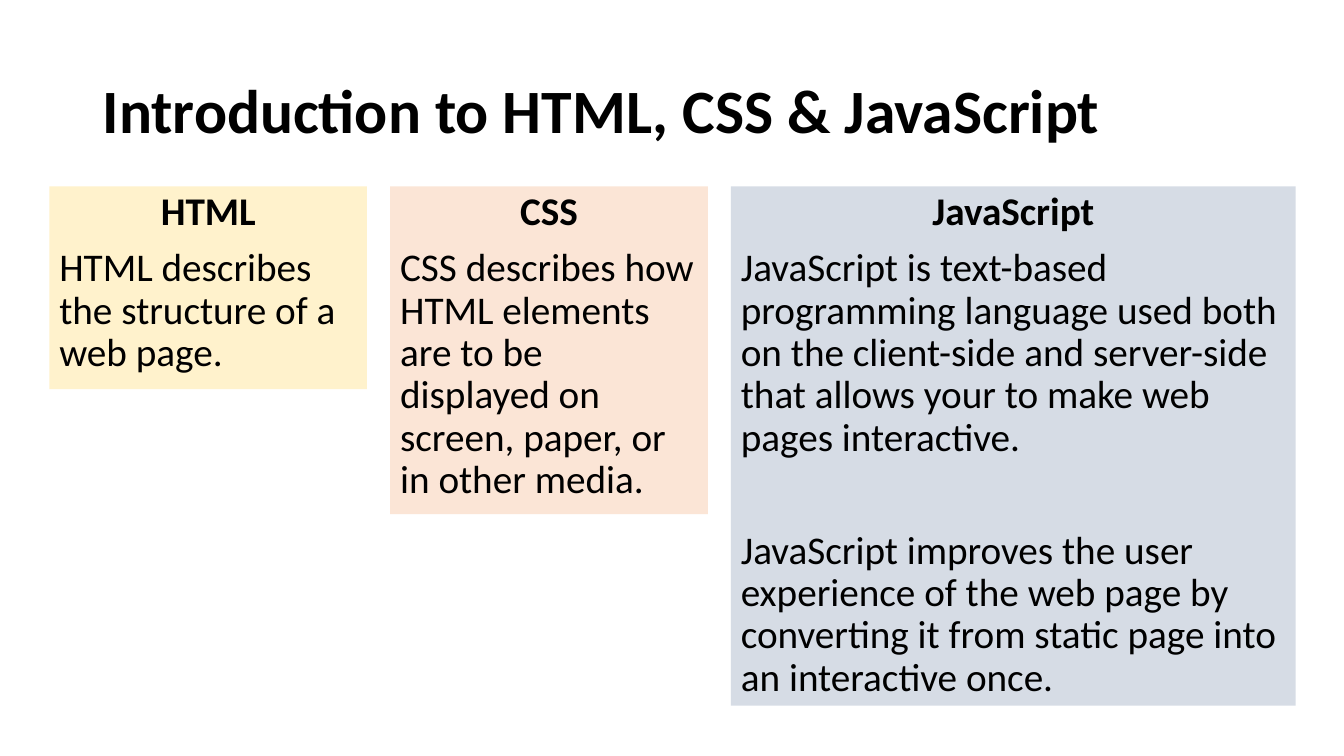
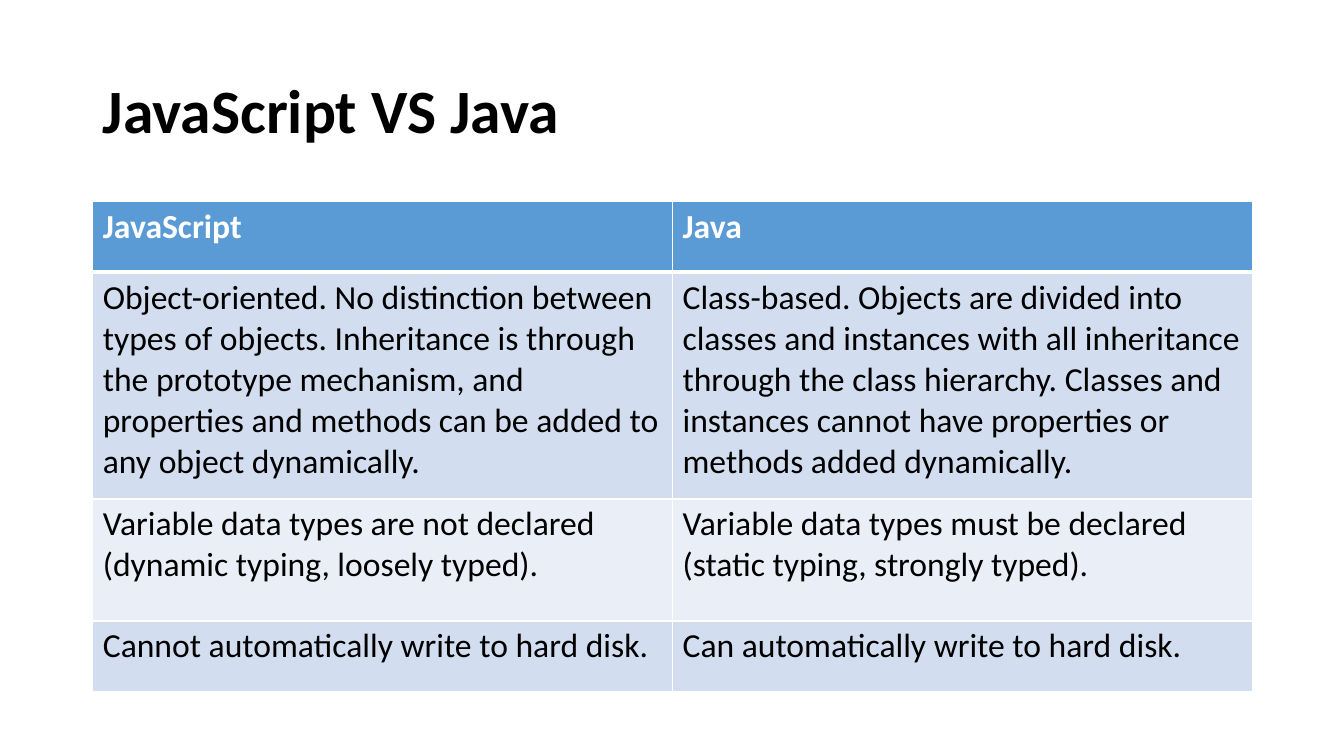
from lxml.etree import SubElement
from pptx import Presentation
from pptx.dml.color import RGBColor
from pptx.enum.shapes import MSO_SHAPE as Shape
from pptx.enum.text import MSO_ANCHOR as Anchor, PP_ALIGN as Align
from pptx.oxml.ns import qn
from pptx.util import Pt

PX = 9144  # EMU per px, 100 px to the inch

BLACK = RGBColor(0x00, 0x00, 0x00)
WHITE = RGBColor(0xFF, 0xFF, 0xFF)
CREAM = RGBColor(0xFF, 0xF2, 0xCC)
PEACH = RGBColor(0xFB, 0xE5, 0xD6)
SLATE = RGBColor(0xD6, 0xDC, 0xE5)
HEADER_BLUE = RGBColor(0x5B, 0x9B, 0xD5)
BANDS = (RGBColor(0xD2, 0xDE, 0xEF), RGBColor(0xEA, 0xEF, 0xF7))


class Deck:
    """Holds the shared style and the slide being filled."""
    font = "Calibri"
    title_size, panel_size, table_size = 44, 28, 24
    line_spacing = 0.9
    space_before, block_gap = 10, 50.5

    def __init__(self, width, height):
        self.prs = Presentation()
        self.prs.slide_width, self.prs.slide_height = width * PX, height * PX
        self.slide = None

    def new_slide(self, title):
        self.slide = self.prs.slides.add_slide(self.prs.slide_layouts[6])
        box = self.slide.shapes.add_textbox(92 * PX, 40 * PX, 1150 * PX, 145 * PX)
        frame = box.text_frame
        frame.word_wrap = True
        frame.vertical_anchor = Anchor.MIDDLE
        heading = frame.paragraphs[0]
        heading.line_spacing = self.line_spacing
        self.run(heading, title, self.title_size, bold=True)

    def run(self, paragraph, text, size, color=BLACK, bold=False):
        run = paragraph.add_run()
        run.text = text
        run.font.name = self.font
        run.font.size = Pt(size)
        run.font.bold = bold
        run.font.color.rgb = color

    def panel(self, left, top, width, height, fill, heading, blocks):
        """A filled box with a centred heading over blocks of text."""
        panel = self.slide.shapes.add_shape(
            Shape.RECTANGLE, left * PX, top * PX, width * PX, height * PX)
        panel.shadow.inherit = False
        panel.fill.solid()
        panel.fill.fore_color.rgb = fill
        panel.line.fill.background()
        frame = panel.text_frame
        frame.word_wrap = True
        frame.vertical_anchor = Anchor.TOP
        for i, text in enumerate([heading, *blocks]):
            paragraph = frame.add_paragraph() if i else frame.paragraphs[0]
            paragraph.alignment = Align.LEFT if i else Align.CENTER
            paragraph.line_spacing = self.line_spacing
            paragraph.space_before = Pt(self.block_gap if i > 1 else self.space_before)
            self.run(paragraph, text, self.panel_size, bold=i == 0)

    def table(self, left, top, column_width, row_heights, rows):
        """A table with a coloured header row and banded rows below."""
        columns = len(rows[0])
        table = self.slide.shapes.add_table(
            len(rows), columns, left * PX, top * PX,
            columns * column_width * PX, sum(row_heights) * PX).table
        for column in table.columns:
            column.width = column_width * PX
        for r, (height, texts) in enumerate(zip(row_heights, rows)):
            table.rows[r].height = height * PX
            for c, text in enumerate(texts):
                cell = table.cell(r, c)
                # Borders go in before the fill, as the schema orders them
                self.borders(cell, top=3 if r == 1 else 1, bottom=3 if r == 0 else 1)
                cell.fill.solid()
                cell.fill.fore_color.rgb = BANDS[(r - 1) % 2] if r else HEADER_BLUE
                self.run(cell.text_frame.paragraphs[0], text, self.table_size,
                         BLACK if r else WHITE, bold=r == 0)

    def borders(self, cell, top, bottom):
        properties = cell._tc.get_or_add_tcPr()
        for side, weight in (("L", 1), ("R", 1), ("T", top), ("B", bottom)):
            line = SubElement(properties, qn(f"a:ln{side}"), w=str(Pt(weight)))
            fill = SubElement(line, qn("a:solidFill"))
            SubElement(fill, qn("a:srgbClr"), val=str(WHITE))


# Width, height, fill, heading, text blocks
LANGUAGES = [
    (315, 201, CREAM, "HTML", ["HTML describes the structure of a web page."]),
    (315, 325, PEACH, "CSS", [
        "CSS describes how HTML elements are to be displayed on screen, paper, "
        "or in other media."]),
    (560, 515, SLATE, "JavaScript", [
        "JavaScript is text-based programming language used both on the client-side "
        "and server-side that allows your to make web pages interactive.",
        "JavaScript improves the user experience of the web page by converting it "
        "from static page into an interactive once."]),
]

COMPARISON = [
    ("JavaScript", "Java"),
    ("Object-oriented. No distinction between types of objects. Inheritance is "
     "through the prototype mechanism, and properties and methods can be added to "
     "any object dynamically.",
     "Class-based. Objects are divided into classes and instances with all "
     "inheritance through the class hierarchy. Classes and instances cannot have "
     "properties or methods added dynamically."),
    ("Variable data types are not declared (dynamic typing, loosely typed).",
     "Variable data types must be declared (static typing, strongly typed)."),
    ("Cannot automatically write to hard disk.",
     "Can automatically write to hard disk."),
]


def main():
    deck = Deck(1333, 750)

    # Three languages side by side
    deck.new_slide("Introduction to HTML, CSS & JavaScript")
    left, gap = 49, 23
    for width, height, fill, heading, blocks in LANGUAGES:
        deck.panel(left, 185, width, height, fill, heading, blocks)
        left += width + gap

    # Comparison table
    deck.new_slide("JavaScript VS Java")
    deck.table(92, 200, 575, (70, 225, 121, 70), COMPARISON)

    deck.prs.save("out.pptx")


if __name__ == "__main__":
    main()
